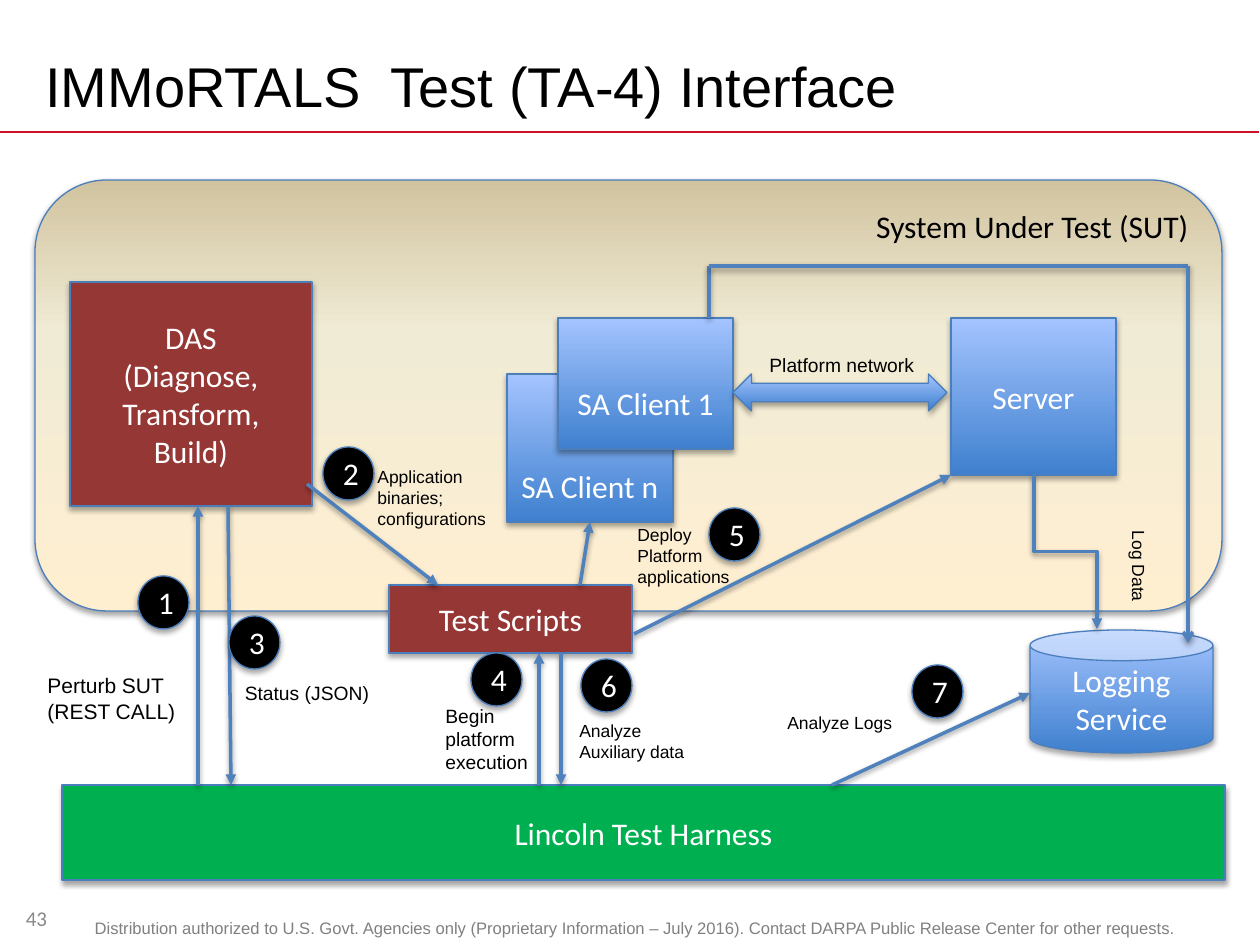
import copy

import pptx
import pptx.dml.color
import pptx.enum.shapes
import pptx.enum.text
import pptx.oxml
import pptx.oxml.ns
import pptx.util

RGBColor = pptx.dml.color.RGBColor
Shape = pptx.enum.shapes.MSO_SHAPE
Connector = pptx.enum.shapes.MSO_CONNECTOR
Align = pptx.enum.text.PP_ALIGN
Anchor = pptx.enum.text.MSO_ANCHOR
Pt = pptx.util.Pt
qn = pptx.oxml.ns.qn

PX = 914400 / 126
BLACK = RGBColor(0x00, 0x00, 0x00)
WHITE = RGBColor(0xFF, 0xFF, 0xFF)
GRAY = RGBColor(0x80, 0x80, 0x80)
NUMBER_GRAY = RGBColor(0x89, 0x89, 0x89)
RULE_RED = RGBColor(0xCE, 0x11, 0x26)
MAROON = RGBColor(0x95, 0x37, 0x35)
GREEN = RGBColor(0x00, 0xB0, 0x50)
OUTLINE = RGBColor(0x4B, 0x7E, 0xBC)
FLOW_BLUE = RGBColor(0x4F, 0x81, 0xBD)
BLUE_FADE = [(0, RGBColor(0x3F, 0x80, 0xCE)), (1, RGBColor(0xA4, 0xC4, 0xFF))]
SAND_FADE = [(0, RGBColor(0xFF, 0xEF, 0xD1)), (0.65, RGBColor(0xF0, 0xEB, 0xD5)),
             (1, RGBColor(0xD1, 0xC3, 0x9F))]
SHADOW = ('<a:effectLst xmlns:a="http://schemas.openxmlformats.org/drawingml/2006/main">'
          '<a:outerShdw blurRad="40000" dist="{}" dir="5400000" rotWithShape="0">'
          '<a:srgbClr val="000000"><a:alpha val="{}"/></a:srgbClr>'
          '</a:outerShdw></a:effectLst>')
EMPTY_EFFECTS = '<a:effectLst xmlns:a="http://schemas.openxmlformats.org/drawingml/2006/main"/>'
ARROWHEAD = ('<a:tailEnd xmlns:a="http://schemas.openxmlformats.org/drawingml/2006/main"'
             ' type="{}"/>')


def px(*lengths):
    return [round(length * PX) for length in lengths]


def write(holder, text, size=18, font="Calibri", color=WHITE, align=Align.CENTER,
          anchor=Anchor.MIDDLE, wrap=True, spacing=None, top_inset=6):
    frame = holder.text_frame
    frame.word_wrap = wrap
    frame.vertical_anchor = anchor
    frame.margin_top = px(top_inset)[0]
    for index, line in enumerate(text.split("\n")):
        paragraph = frame.paragraphs[0] if index == 0 else frame.add_paragraph()
        paragraph.alignment = align
        paragraph.line_spacing = spacing
        run = paragraph.add_run()
        run.text = line
        run.font.size = Pt(size)
        run.font.name = font
        run.font.color.rgb = color


deck = pptx.Presentation()
deck.slide_width, deck.slide_height = px(1260, 945)
slide = deck.slides.add_slide(deck.slide_layouts[6])
shapes = slide.shapes

title_rule = shapes.add_connector(Connector.STRAIGHT, *px(0, 132, 1259, 132))
title_rule.line.color.rgb = RULE_RED
title_rule.line.width = Pt(1)
title_rule._element.spPr.append(pptx.oxml.parse_xml(EMPTY_EFFECTS))

blocks = [
    (Shape.ROUNDED_RECTANGLE, (35, 180, 1187, 431), SAND_FADE, "System Under Test (SUT)",
     dict(color=BLACK, align=Align.RIGHT, anchor=Anchor.TOP)),
    (Shape.RECTANGLE, (507, 374, 166, 148), BLUE_FADE, "SA Client n", dict(top_inset=82)),
    (Shape.RECTANGLE, (558, 318, 175, 131), BLUE_FADE, "SA Client 1", dict(top_inset=44)),
    (Shape.RECTANGLE, (951, 318, 165, 157), BLUE_FADE, "Server", {}),
    (Shape.RECTANGLE, (70, 282, 242, 224), MAROON, "DAS\n(Diagnose, Transform, Build)", {}),
    (Shape.RECTANGLE, (62, 785, 1163, 95), GREEN, "Lincoln Test Harness", {}),
    (Shape.RECTANGLE, (389, 585, 243, 68), MAROON, "Test Scripts", {}),
    (Shape.CAN, (1030, 630, 183, 123), BLUE_FADE, "Logging Service", {}),
    (Shape.LEFT_RIGHT_ARROW, (733, 374, 214, 37), BLUE_FADE, "", {}),
]
badges = [(138, 576), (323, 447), (229, 616), (471, 653), (709, 508), (581, 659), (912, 665)]
for number, (left, top) in enumerate(badges, 1):
    blocks.append((Shape.OVAL, (left, top, 51, 53), BLACK, str(number), {}))

placed = {}
for kind, place, paint, text, style in blocks:
    block = shapes.add_shape(kind, *px(*place))
    block.shadow.inherit = False
    properties = block._element.spPr
    properties.replace(properties.find(qn("a:effectLst")),
                       pptx.oxml.parse_xml(SHADOW.format(23000, 35000)))
    if isinstance(paint, list):
        block.fill.gradient()
        block.fill.gradient_angle = 90
        stop_list = properties.find(".//" + qn("a:gsLst"))
        for _ in paint[2:]:
            stop_list.insert(1, copy.deepcopy(stop_list[0]))
        for stop, (position, color) in zip(block.fill.gradient_stops, paint):
            stop.position = position
            stop.color.rgb = color
    else:
        block.fill.solid()
        block.fill.fore_color.rgb = paint
    block.line.color.rgb = OUTLINE
    block.line.width = Pt(0.75)
    if text:
        write(block, text, **style)
        placed[text] = block

flows = [
    (198, 785, 198, 506, "triangle"),
    (228, 506, 231, 785, "triangle"),
    (539, 785, 539, 653, "triangle"),
    (561, 653, 561, 785, "triangle"),
    (832, 785, 1030, 693, "triangle"),
    (307, 484, 438, 585, "triangle"),
    (634, 634, 951, 475, "triangle"),
    (580, 585, 590, 522, "triangle"),
    (988, 520, 1143, 583, "triangle"),
    (709, 318, 709, 266, None),
    (709, 266, 1188, 266, None),
    (1188, 266, 1188, 643, "arrow"),
]
SERVER_LOG, DEPLOY_CLIENT = flows[8], flows[7]
first_badge = placed["1"]._element
for flow in flows:
    *ends, head = flow
    route = Connector.ELBOW if flow is SERVER_LOG else Connector.STRAIGHT
    link = shapes.add_connector(route, *px(*ends))
    link.line.color.rgb = FLOW_BLUE
    link.line.width = Pt(2)
    properties = link._element.spPr
    if head:
        properties.find(qn("a:ln")).append(pptx.oxml.parse_xml(ARROWHEAD.format(head)))
    properties.append(pptx.oxml.parse_xml(SHADOW.format(20000, 38000)))
    if flow is SERVER_LOG:
        turn = properties.find(qn("a:xfrm"))
        turn.set("rot", "16200000")
        turn.set("flipH", "1")
    if flow is DEPLOY_CLIENT:
        link.end_connect(placed["SA Client n"], 2)
    first_badge.addprevious(link._element)

labels = [
    ("IMMoRTALS  Test (TA-4) Interface", (33, 38, 1134, 94), 32, dict(anchor=Anchor.MIDDLE)),
    ("Perturb SUT\n(REST CALL)", (35, 667, 210, 63), 12, {}),
    ("Status (JSON)", (229, 675, 156, 37), 11, dict(align=Align.CENTER)),
    ("Log Data", (1081, 559, 115, 34), 10, {}),
    ("Deploy Platform applications", (625, 518, 121, 77), 10, {}),
    ("Analyze Logs", (775, 706, 154, 34), 10, {}),
    ("Begin platform execution", (433, 698, 123, 83), 11, {}),
    ("Application binaries; configurations", (365, 460, 147, 77), 10, {}),
    ("Analyze Auxiliary data", (567, 714, 154, 55), 10, {}),
    ("Platform network", (757, 347, 171, 37), 11, dict(wrap=False)),
    ("43", (0, 893, 73, 50), 12, dict(font="Calibri", color=NUMBER_GRAY, align=Align.CENTER,
                                      anchor=Anchor.MIDDLE)),
    ("Distribution authorized to U.S. Govt. Agencies only (Proprietary Information – July 2016). "
     "Contact DARPA Public Release Center for other requests.", (73, 916, 1124, 33), 9.5,
     dict(color=GRAY, align=Align.CENTER, spacing=0.8)),
]
LABEL_STYLE = dict(font="Arial", color=BLACK, align=Align.LEFT, anchor=Anchor.TOP)
for text, place, size, style in labels:
    label = shapes.add_textbox(*px(*place))
    label.rotation = 90 if text == "Log Data" else 0
    write(label, text, size=size, **{**LABEL_STYLE, **style})

deck.save("out.pptx")
